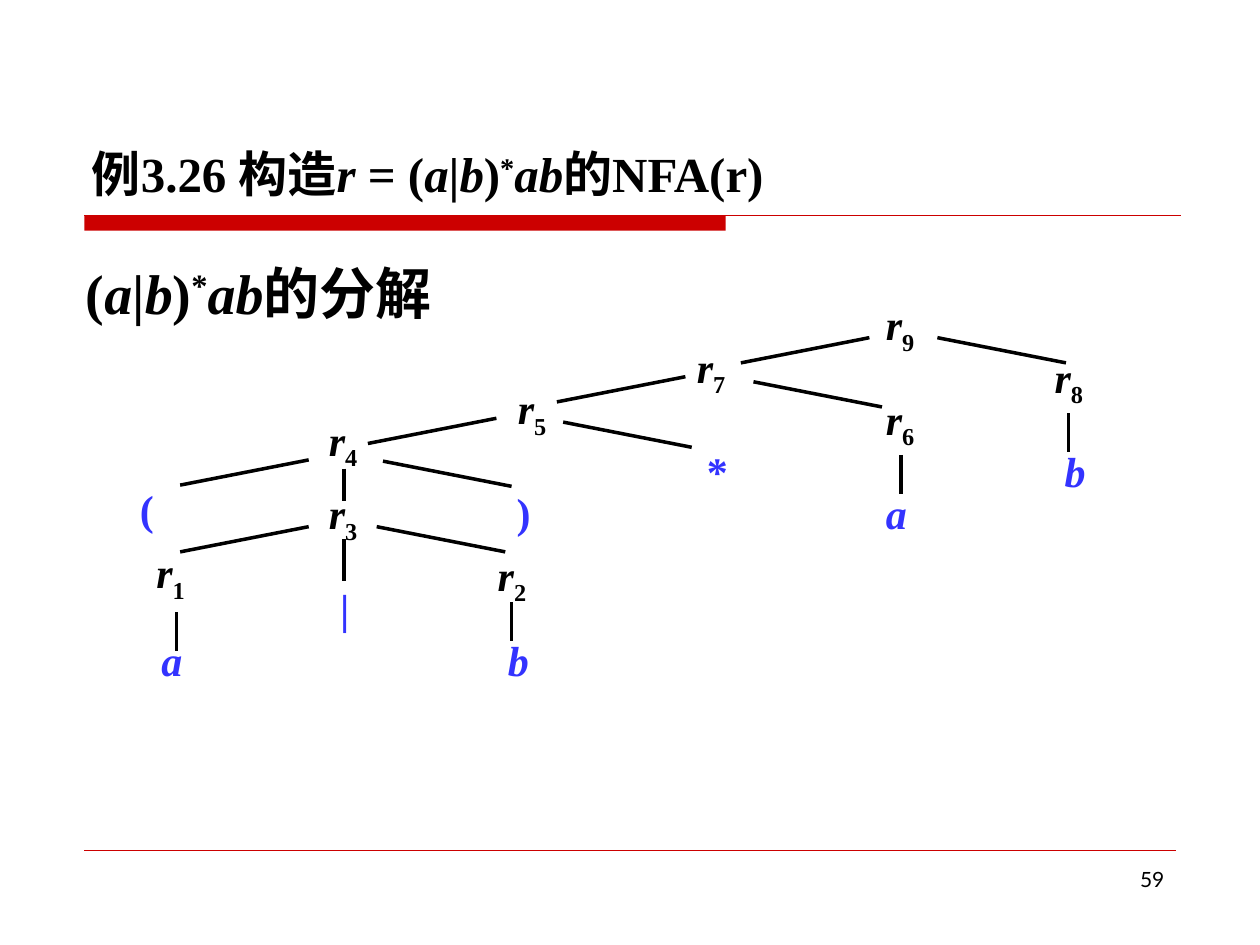
import pptx
import pptx.util
import pptx.dml.color
import pptx.enum.shapes
import pptx.enum.text
import pptx.oxml.ns
import lxml.etree

Inches = pptx.util.Inches
Pt = pptx.util.Pt
RED = pptx.dml.color.RGBColor(0xCC, 0x00, 0x00)
BLUE = pptx.dml.color.RGBColor(0x33, 0x33, 0xFF)
BLACK = pptx.dml.color.RGBColor(0x00, 0x00, 0x00)
LEFT = pptx.enum.text.PP_ALIGN.LEFT
RIGHT = pptx.enum.text.PP_ALIGN.RIGHT
JUSTIFY = pptx.enum.text.PP_ALIGN.JUSTIFY


def add_line(x1, y1, x2, y2, color, width):
    line = s.shapes.add_connector(
        pptx.enum.shapes.MSO_CONNECTOR.STRAIGHT,
        Inches(x1), Inches(y1), Inches(x2), Inches(y2))
    line.line.color.rgb = color
    line.line.width = Pt(width)
    lxml.etree.SubElement(line._element.spPr, pptx.oxml.ns.qn("a:effectLst"))


def fill_text(sp, box, margins, runs, size, color, align,
              font="Times New Roman", bold=True):
    sp.left, sp.top, sp.width, sp.height = [Inches(v) for v in box]
    tf = sp.text_frame
    tf.word_wrap = True
    tf.auto_size = pptx.enum.text.MSO_AUTO_SIZE.NONE
    tf.margin_left, tf.margin_top, tf.margin_right, tf.margin_bottom = [
        Inches(v) for v in margins]
    p = tf.paragraphs[0]
    p.alignment = align
    for text, italic, baseline in runs:
        r = p.add_run()
        r.text = text
        r.font.name = font
        r.font.size = Pt(size)
        r.font.bold = bold
        r.font.italic = italic
        r.font.color.rgb = color
        if baseline:
            r._r.get_or_add_rPr().set("baseline", str(baseline * 1000))


prs = pptx.Presentation()
prs.slide_width = Inches(10)
prs.slide_height = Inches(7.5)
s = prs.slides.add_slide(prs.slide_layouts[5])

bar = s.shapes.add_shape(pptx.enum.shapes.MSO_SHAPE.RECTANGLE,
                         Inches(0.67), Inches(1.71), Inches(5.09), Inches(0.12))
bar.shadow.inherit = False
bar.fill.solid()
bar.fill.fore_color.rgb = RED
bar.line.fill.background()
add_line(0.67, 1.71, 9.37, 1.71, RED, 0.75)
add_line(0.67, 6.75, 9.33, 6.75, RED, 0.25)

regex = [("a", True, 0), ("|", False, 0), ("b", True, 0), (")", False, 0),
         ("*", False, 30), ("ab", True, 0)]

title = s.shapes.title
title.text_frame.vertical_anchor = pptx.enum.text.MSO_ANCHOR.BOTTOM
fill_text(title, (0.63, 0.33, 8.75, 1.33), (0.1, 0.05, 0.1, 0.05),
          [("例3.26 构造", False, 0), ("r ", True, 0), ("= (", False, 0)]
          + regex + [("的NFA(r)", False, 0)], 28, BLACK, LEFT)

heading = s.shapes.add_textbox(0, 0, 0, 0)
fill_text(heading, (0.59, 2.02, 6.02, 1.73), (0.09, 0.03, 0.1, 0.05),
          [("(", False, 0)] + regex + [("的分解", False, 0)], 32, BLACK, LEFT)

number = s.shapes.add_textbox(0, 0, 0, 0)
fill_text(number, (7.17, 6.83, 2.17, 0.52), (0.1, 0.05, 0.1, 0.05),
          [("59", False, 0)], 12, BLACK, RIGHT, "Lato", False)

branch_width, branch_drop = 1.02, 0.2
left_branches = [(6.9, 2.68), (5.44, 2.99), (3.94, 3.32), (2.45, 3.65), (2.45, 4.18)]
right_branches = [(7.44, 2.68), (5.98, 3.03), (4.47, 3.35), (3.04, 3.66), (2.99, 4.18)]
for direction, branches in ((-1, left_branches), (1, right_branches)):
    for x, y in branches:
        add_line(x, y, x + direction * branch_width, y + branch_drop, BLACK, 2)

stems = [(2.73, 3.72, 3.98), (2.73, 4.28, 4.61), (8.48, 3.28, 3.59),
         (7.15, 3.61, 3.92), (4.06, 4.78, 5.09), (1.4, 4.86, 5.17)]
for x, top, bottom in stems:
    add_line(x, top, x, bottom, BLACK, 2)

inner_nodes = [("9", 6.98, 2.36), ("7", 5.48, 2.7), ("8", 8.32, 2.78),
               ("5", 4.06, 3.03), ("6", 6.98, 3.11), ("4", 2.56, 3.28),
               ("3", 2.56, 3.86), ("1", 1.19, 4.33), ("2", 3.9, 4.35)]
leaves = [("*", 5.56, 3.53), ("b", 8.4, 3.53), ("(", 1.06, 3.83),
          (")", 4.05, 3.85), ("a", 6.98, 3.86), ("|", 2.65, 4.61),
          ("a", 1.23, 5.03), ("b", 3.98, 5.03)]
nodes = [([("r", True, 0), (n, False, -25)], x, y, BLACK) for n, x, y in inner_nodes]
nodes += [([(t, t.isalpha(), 0)], x, y, BLUE) for t, x, y in leaves]
for runs, x, y, color in nodes:
    node = s.shapes.add_textbox(0, 0, 0, 0)
    fill_text(node, (x, y, 0.59, 0.37), (0.05, 0.01, 0.06, 0.01),
              runs, 24, color, JUSTIFY)

prs.save("out.pptx")
